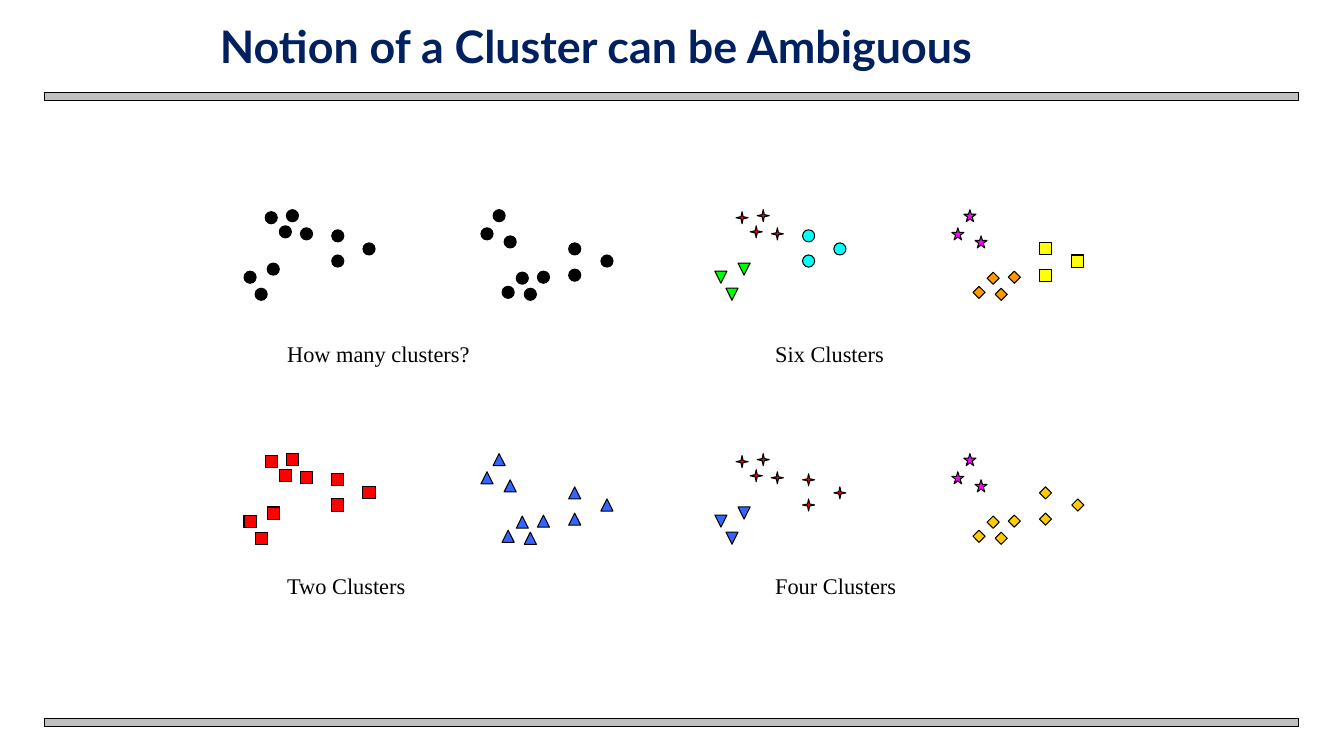
from pptx import Presentation
from pptx.dml.color import RGBColor
from pptx.enum import shapes, text
from pptx.util import Inches, Pt

COLUMNS, ROWS = 1333, 750
WIDTH, HEIGHT = Inches(13.33), Inches(7.5)
MARKER = 12
KIND = shapes.MSO_SHAPE
COLORS = {
    "black": "000000", "navy": "002060", "gray": "C0C0C0", "red": "FF0000",
    "blue": "3366FF", "green": "00FF00", "cyan": "00FFFF", "magenta": "FF00FF",
    "orange": "FF9900", "gold": "FFCC00", "yellow": "FFFF00",
}
POINTS = {
    "right low": [(291, 61), (256, 76), (278, 78), (270, 62)],
    "right top": [(258, 26), (235, 18), (247, 0)],
    "right end": [(322, 59), (354, 45), (322, 33)],
    "left top": [(56, 18), (21, 2), (42, 0), (35, 16)],
    "left low": [(23, 53), (0, 61), (11, 78)],
    "left end": [(87, 20), (118, 33), (87, 45)],
}
DOT = (KIND.OVAL, "black")
SQUARE = (KIND.RECTANGLE, "red")
TRIANGLE = (KIND.ISOSCELES_TRIANGLE, "blue")
CROSS = (KIND.STAR_4_POINT, "red")
STAR = (KIND.STAR_5_POINT, "magenta")
DIAMOND = (KIND.DIAMOND, "gold")
PANELS = [
    ("How many clusters?", 0, 0, [DOT] * 6),
    ("Four Clusters", 1, 1, [
        DIAMOND, STAR, DIAMOND,
        CROSS, (KIND.FLOWCHART_EXTRACT, "blue"), CROSS]),
    ("Two Clusters", 0, 1, [TRIANGLE] * 3 + [SQUARE] * 3),
    ("Six Clusters", 1, 0, [
        (KIND.DIAMOND, "orange"), STAR, (KIND.RECTANGLE, "yellow"),
        CROSS, (KIND.ISOSCELES_TRIANGLE, "green"), (KIND.OVAL, "cyan")]),
]


def place(left, top, width, height):
    """Turn grid columns and rows into slide lengths."""
    across, down = WIDTH / COLUMNS, HEIGHT / ROWS
    return (round(left * across), round(top * down),
            round(width * across), round(height * down))


def color(name):
    """Return a named colour."""
    return RGBColor.from_string(COLORS[name])


def set_format(target, values):
    """Set every attribute in a dict of format values."""
    for name, value in values.items():
        setattr(target, name, value)


def add_figure(owner, kind, fill, area, weight=0.75):
    """Add an outlined preset shape to a page or a group."""
    figure = owner.shapes.add_shape(kind, *place(*area))
    figure.shadow.inherit = False
    figure.fill.solid()
    figure.fill.fore_color.rgb = color(fill)
    figure.line.color.rgb = color("black")
    figure.line.width = Pt(weight)
    return figure


def write(box, words, font, frame_format, paragraph_format):
    """Write one formatted paragraph into a box."""
    frame = box.text_frame
    set_format(frame, frame_format)
    para = frame.paragraphs[0]
    set_format(para, paragraph_format)
    span = para.add_run()
    span.text = words
    font = dict(font)
    span.font.color.rgb = color(font.pop("color"))
    set_format(span.font, font)


def add_title(page, words):
    """Place and format the title placeholder."""
    box = page.shapes.title
    area = place(208, 17, 906, 60)
    set_format(box, dict(zip(("left", "top", "width", "height"), area)))
    write(box, words,
          {"name": "Lato", "size": Pt(32), "bold": True, "color": "navy"},
          {"vertical_anchor": text.MSO_ANCHOR.BOTTOM, "word_wrap": True,
           "auto_size": text.MSO_AUTO_SIZE.NONE},
          {"alignment": text.PP_ALIGN.LEFT, "line_spacing": Pt(36)})


def add_caption(group, words, area):
    """Add the caption of a panel."""
    write(group.shapes.add_textbox(*place(*area)), words,
          {"name": "Times New Roman", "size": Pt(16), "color": "black"},
          {"word_wrap": True, "auto_size": text.MSO_AUTO_SIZE.SHAPE_TO_FIT_TEXT},
          {"alignment": text.PP_ALIGN.LEFT})


def add_panel(page, words, column, row, markers):
    """Add a grouped scatter of markers with its caption."""
    group = page.shapes.add_group_shape()
    left, top = 242 + 467 * column, 208 + 242 * row
    for (part, points), (kind, fill) in zip(POINTS.items(), markers):
        for x, y in points:
            marker = add_figure(group, kind, fill, (left + x, top + y, MARKER, MARKER))
            if kind == KIND.STAR_4_POINT:
                marker.adjustments[0] = 0.125
            if part.startswith("left"):
                marker.element.spPr.xfrm.set("flipV", "1")
    add_caption(group, words, (275 + 484 * column, 333 + 230 * row, 250, 37))


def main():
    """Build the slide and save the deck."""
    deck = Presentation()
    set_format(deck, {"slide_width": WIDTH, "slide_height": HEIGHT})
    page = deck.slides.add_slide(deck.slide_layouts[5])
    for top in (92, 713):
        add_figure(page, KIND.RECTANGLE, "gray", (44, top, 1244, 8), 1)
    add_title(page, "Notion of a Cluster can be Ambiguous")
    for panel in PANELS:
        add_panel(page, *panel)
    deck.save("out.pptx")


if __name__ == "__main__":
    main()
